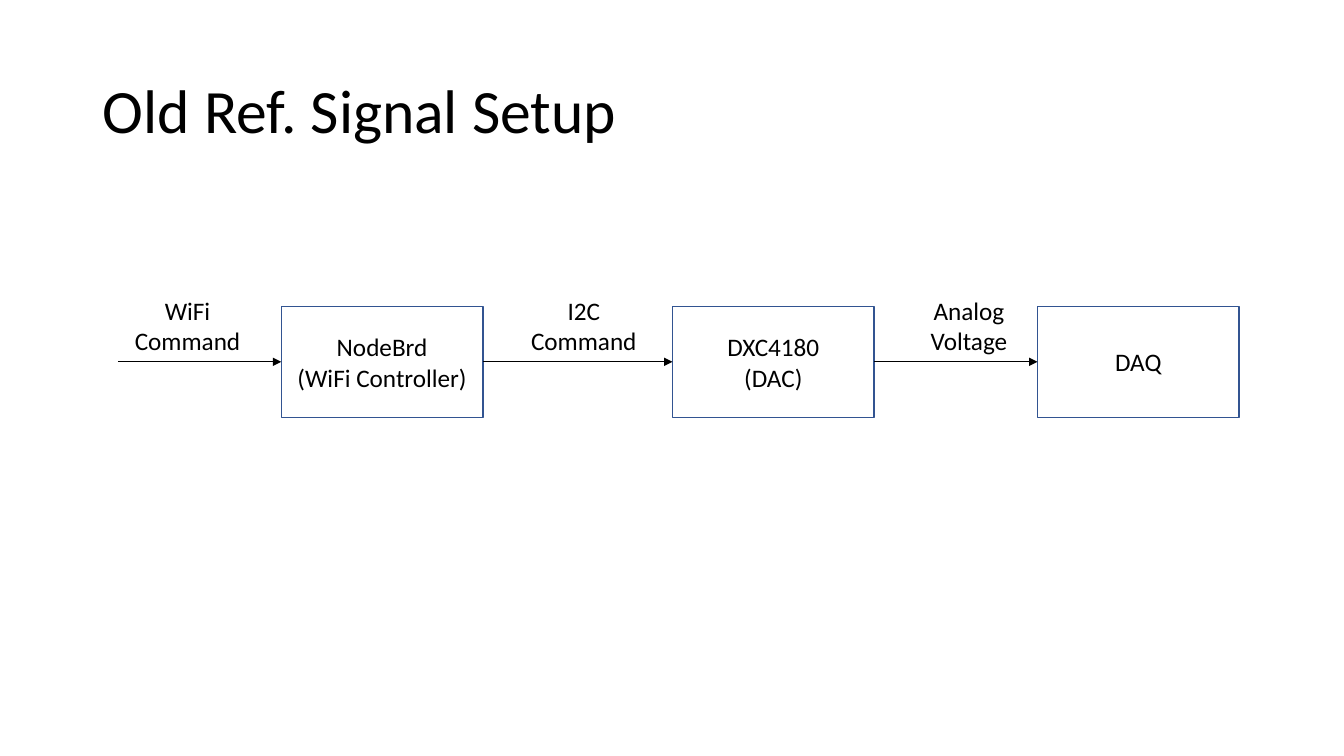
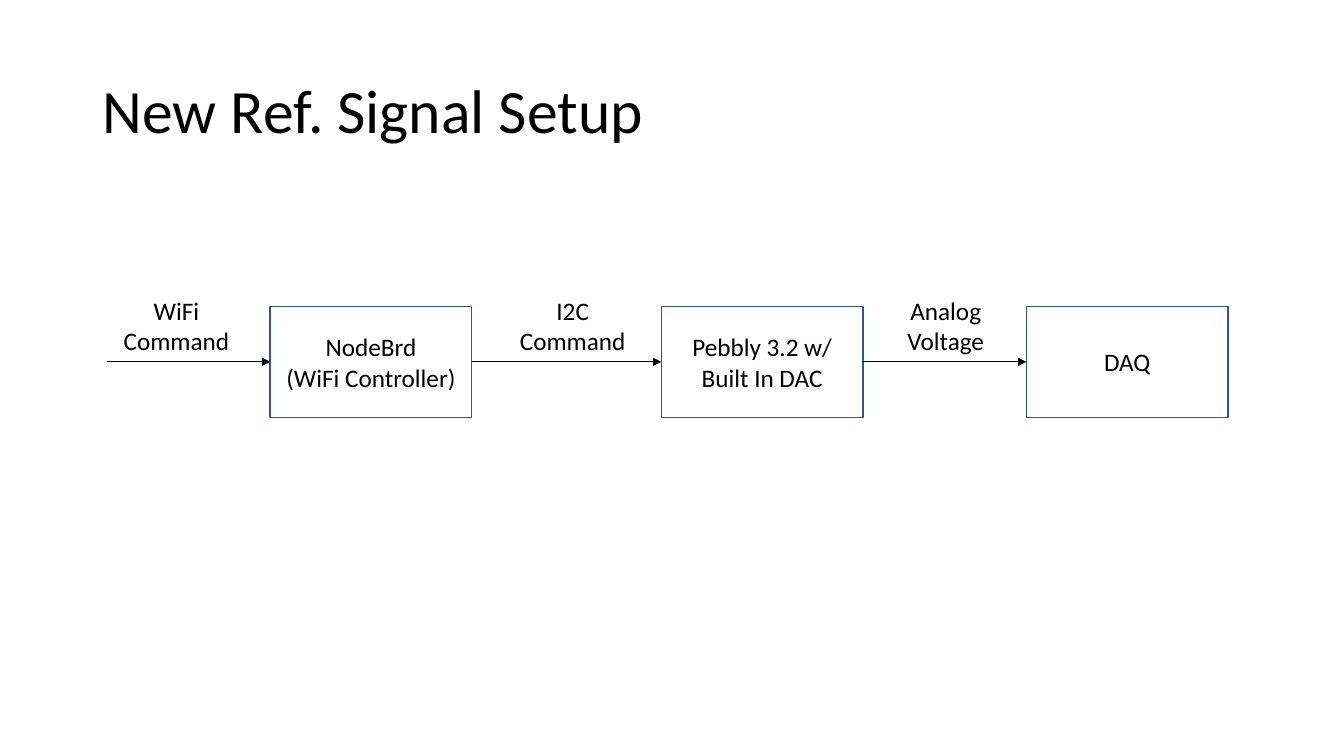
from dataclasses import dataclass

from lxml.etree import SubElement
from pptx import Presentation
from pptx.dml.color import RGBColor
from pptx.enum.shapes import MSO_CONNECTOR, MSO_SHAPE
from pptx.enum.text import MSO_ANCHOR, MSO_AUTO_SIZE, PP_ALIGN
from pptx.oxml.ns import qn
from pptx.util import Emu, Pt

# Shared style
COLORS = {"text": "000000", "arrow": "000000", "outline": "325491"}
FONT = "Calibri"
TITLE_SIZE, BODY_SIZE = 44, 18

# Shared layout, 100 px to the inch
SLIDE_WIDTH, SLIDE_HEIGHT = 1333, 750
TITLE_AREA = (92, 40, 1150, 145)
BOX_TOP, BOX_WIDTH, BOX_HEIGHT = 304, 200, 110
ARROW_Y = BOX_TOP + BOX_HEIGHT // 2
LABEL_TOP, LABEL_WIDTH, LABEL_HEIGHT = 288, 158, 71


@dataclass(frozen=True)
class Stage:
    """A signal arrow, its label and the box it leads to."""
    signal: str
    lines: tuple[str, ...]
    arrow_length: int
    label_shift: int


@dataclass(frozen=True)
class Setup:
    title: str
    left: int
    stages: tuple[Stage, ...]


def make_setup(title: str, left: int, converter: tuple[str, ...], voltage_shift: int) -> Setup:
    return Setup(title, left, (
        Stage("WiFi Command", ("NodeBrd", "(WiFi Controller)"), 162, -10),
        Stage("I2C Command", converter, 188, 21),
        Stage("Analog Voltage", ("DAQ",), 162, voltage_shift),
    ))


SETUPS = (
    make_setup("Old Ref. Signal Setup", 117, ("DXC4180", "(DAC)"), 15),
    make_setup("New Ref. Signal Setup", 106, ("Pebbly 3.2 w/ Built In DAC",), 3),
)


def px(length: int) -> Emu:
    return Emu(length * 9144)


def color(name: str) -> RGBColor:
    return RGBColor.from_string(COLORS[name])


def write(frame, lines: tuple[str, ...], size: int, align: PP_ALIGN) -> None:
    frame.word_wrap = True
    for index, line in enumerate(lines):
        para = frame.add_paragraph() if index else frame.paragraphs[0]
        para.alignment = align
        span = para.add_run()
        span.text = line
        span.font.name = FONT
        span.font.size = Pt(size)
        span.font.color.rgb = color("text")


def add_title(page, text: str) -> None:
    title = page.shapes.title
    title.left, title.top, title.width, title.height = map(px, TITLE_AREA)
    frame = title.text_frame
    frame.vertical_anchor = MSO_ANCHOR.MIDDLE
    frame.auto_size = MSO_AUTO_SIZE.NONE
    write(frame, (text,), TITLE_SIZE, PP_ALIGN.LEFT)
    frame.paragraphs[0].line_spacing = 0.9


def add_box(page, left: int, lines: tuple[str, ...]):
    box = page.shapes.add_shape(
        MSO_SHAPE.RECTANGLE, px(left), px(BOX_TOP), px(BOX_WIDTH), px(BOX_HEIGHT))
    box.shadow.inherit = False
    box.fill.background()
    box.line.color.rgb = color("outline")
    box.line.width = Pt(1)
    box.text_frame.vertical_anchor = MSO_ANCHOR.MIDDLE
    write(box.text_frame, lines, BODY_SIZE, PP_ALIGN.CENTER)
    return box


def add_arrow(page, start: int, source, target) -> None:
    arrow = page.shapes.add_connector(
        MSO_CONNECTOR.STRAIGHT, px(start), px(ARROW_Y), target.left, px(ARROW_Y))
    if source is not None:
        arrow.begin_connect(source, 3)
    arrow.end_connect(target, 1)
    arrow.line.color.rgb = color("arrow")
    arrow.line.width = Pt(0.5)
    SubElement(arrow.line._get_or_add_ln(), qn("a:tailEnd"), type="triangle")
    SubElement(arrow._element.spPr, qn("a:effectLst"))


def add_label(page, left: int, text: str) -> None:
    label = page.shapes.add_textbox(
        px(left), px(LABEL_TOP), px(LABEL_WIDTH), px(LABEL_HEIGHT))
    label.text_frame.auto_size = MSO_AUTO_SIZE.SHAPE_TO_FIT_TEXT
    write(label.text_frame, (text,), BODY_SIZE, PP_ALIGN.CENTER)


def add_setup(deck, setup: Setup) -> None:
    page = deck.slides.add_slide(deck.slide_layouts.get_by_name("Title Only"))
    add_title(page, setup.title)

    # Signal chain, left to right
    start, previous = setup.left, None
    for stage in setup.stages:
        box_left = start + stage.arrow_length
        box = add_box(page, box_left, stage.lines)
        add_arrow(page, start, previous, box)
        add_label(page, start + stage.label_shift, stage.signal)
        start, previous = box_left + BOX_WIDTH, box


def main() -> None:
    deck = Presentation()
    deck.slide_width, deck.slide_height = px(SLIDE_WIDTH), px(SLIDE_HEIGHT)
    for setup in SETUPS:
        add_setup(deck, setup)
    deck.save("out.pptx")


if __name__ == "__main__":
    main()
